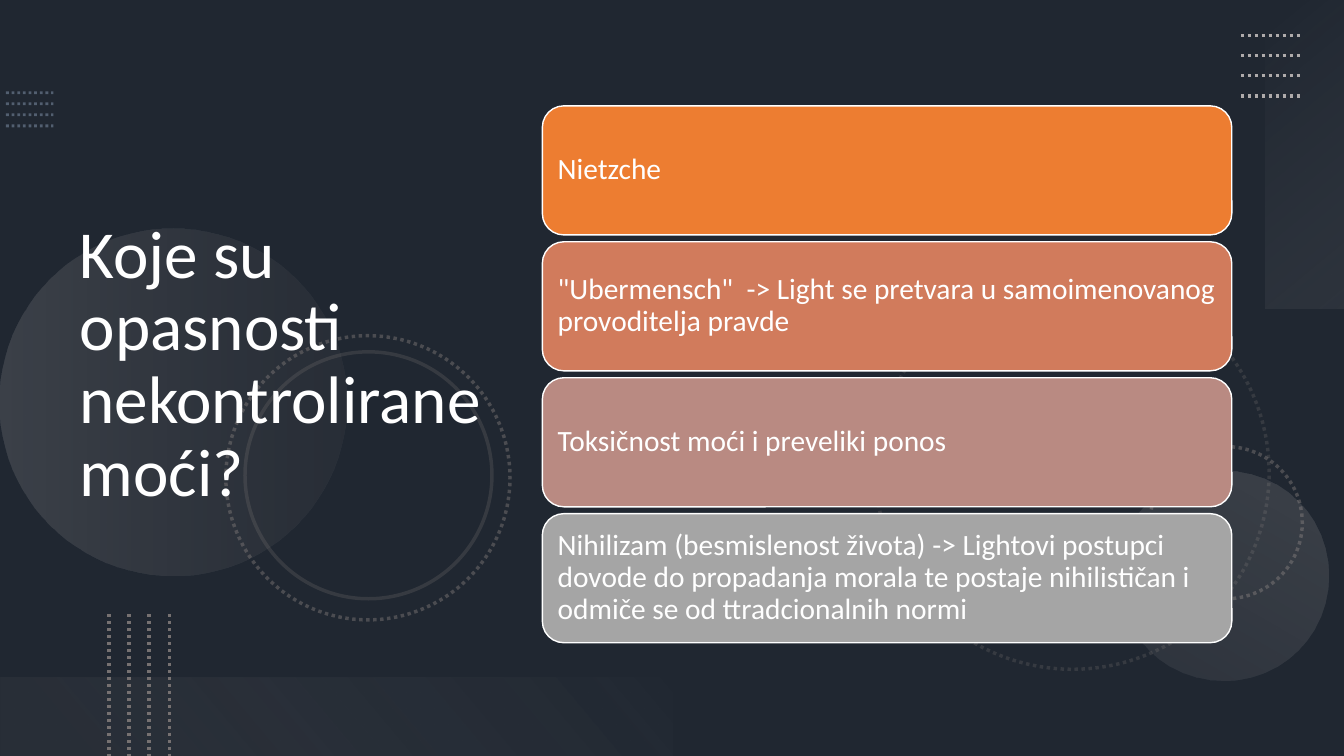
from lxml import etree
from pptx import Presentation
from pptx.dml.color import RGBColor
from pptx.enum import dml, shapes as sh, text as tx
from pptx.oxml.ns import qn
from pptx.util import Pt

SLATE = RGBColor(0x44, 0x54, 0x6A)
BLACK = RGBColor(0, 0, 0)
WHITE = RGBColor(0xFF, 0xFF, 0xFF)
BLUE = RGBColor(0x84, 0x97, 0xB0)
GREY = RGBColor(0x76, 0x71, 0x71)
SILVER = RGBColor(0xAF, 0xAB, 0xAB)
PALE = RGBColor(0xF5, 0xF5, 0xF5)
ORANGE = RGBColor(0xED, 0x7D, 0x31)
CORAL = RGBColor(0xD1, 0x7B, 0x5C)
ROSE = RGBColor(0xB9, 0x8A, 0x82)
ASH = RGBColor(0xA5, 0xA5, 0xA5)
DOTS = dml.MSO_LINE.ROUND_DOT
OVAL = sh.MSO_SHAPE.OVAL
RECT = sh.MSO_SHAPE.RECTANGLE


def fade(item, *levels):
    """Set the opacity, in percent, of each colour in turn."""
    props = item._element.spPr
    for color, level in zip(props.iter(qn("a:srgbClr")), levels):
        etree.SubElement(color, qn("a:alpha")).set("val", str(level * 1000))


def draw(kind, box, turn=0):
    """Add a shape without shadow, fill or line."""
    shape = slide.shapes.add_shape(kind, *[Pt(n) for n in box])
    shape.rotation = turn
    shape.shadow.inherit = False
    shape.fill.background()
    shape.line.fill.background()
    return shape


deck = Presentation()
deck.slide_width, deck.slide_height = Pt(960), Pt(540)
slide = deck.slides.add_slide(deck.slide_layouts[5])

# Background with dark veil
slide.background.fill.solid()
slide.background.fill.fore_color.rgb = SLATE
veil = draw(RECT, (0, 0, 960, 540))
veil.fill.solid()
veil.fill.fore_color.rgb = BLACK
fade(veil, 53)

# Rings: box, turn, dash, opacity
rings = [
    ((625.7, 197.3, 280.8, 280.8), 75, DOTS, 25),
    ((821.5, 319, 108.7, 108.7), 270, DOTS, 50),
    ((161.3, 239.8, 203, 203), 75, DOTS, 50),
    ((175, 251.3, 176.4, 176.4), 75, None, 25),
]
for box, turn, dash, level in rings:
    ring = draw(OVAL, box, turn)
    ring.line.color.rgb = GREY
    ring.line.width = Pt(2.5)
    ring.line.dash_style = dash
    fade(ring, level)

# Soft discs and bands: kind, box, turn, angle, stops (place, colour, opacity)
glows = [
    (OVAL, (0, 163.4, 247.7, 247.7), 270, 90,
     [(0, SILVER, 20), (1, GREY, 10)]),
    (OVAL, (799.2, 336.2, 149.8, 149.8), 210, 90,
     [(0, SILVER, 10), (1, SILVER, 20)]),
    (RECT, (822.2, 82.1, 220.3, 56.2), 270, 140,
     [(0, PALE, 0), (1, SILVER, 10)]),
    (RECT, (0, 483.8, 480.2, 56.2), 180, 140,
     [(0.1, GREY, 10), (1, PALE, 0)]),
]
for kind, box, turn, angle, stops in glows:
    glow = draw(kind, box, turn)
    glow.fill.gradient()
    glow.fill.gradient_angle = 360 - angle
    for stop, (place, color, level) in zip(glow.fill.gradient_stops, stops):
        stop.position = place
        stop.color.rgb = color
    fade(glow, *[level for place, color, level in stops])

# Dotted lines in fours: first line, step, colour, width, opacity
grids = [
    ((4.3, 66.2, 38.2, 66.2), (0, 7.9), BLUE, 2, 50),
    ((886.3, 25.2, 929.5, 25.2), (0, 14.4), SILVER, 2.5, 100),
    ((77.8, 438.5, 77.8, 540), (14.4, 0), GREY, 2.5, 100),
]
for ends, (dx, dy), color, width, level in grids:
    for i in range(4):
        spots = [Pt(n + i * d) for n, d in zip(ends, (dx, dy, dx, dy))]
        line = slide.shapes.add_connector(sh.MSO_CONNECTOR.STRAIGHT, *spots)
        line.line.color.rgb = color
        line.line.width = Pt(width)
        line.line.dash_style = DOTS
        fade(line, level)
        etree.SubElement(line._element.spPr, qn("a:effectLst"))

# Title, raised above the decoration
title = slide.shapes.title
slide.shapes._spTree.append(title._element)
title.left, title.top = Pt(49.7), Pt(38.9)
title.width, title.height = Pt(330.5), Pt(444.2)
frame = title.text_frame
frame.text = "Koje su opasnosti nekontrolirane moći?"
frame.word_wrap = True
frame.auto_size = tx.MSO_AUTO_SIZE.NONE

# Cards
cards = [
    ("Nietzche", ORANGE),
    ('"Ubermensch"\u00a0 -> Light se pretvara u samoimenovanog '
     "provoditelja pravde", CORAL),
    ("Toksičnost moći i preveliki ponos", ROSE),
    ("Nihilizam (besmislenost života) -> Lightovi postupci dovode do "
     "propadanja morala te postaje nihilističan i odmiče se od "
     "ttradcionalnih normi", ASH),
]
frames = [(frame, 48)]
for i, (words, color) in enumerate(cards):
    card = draw(sh.MSO_SHAPE.ROUNDED_RECTANGLE,
                (387.4, 75.6 + 97.1 * i, 492.5, 92.2))
    card.fill.solid()
    card.fill.fore_color.rgb = color
    card.line.color.rgb = WHITE
    card.line.width = Pt(1)
    frame = card.text_frame
    frame.text = words
    frame.word_wrap = True
    # The rounded corners add about 4.5 points to each inset
    frame.margin_left = frame.margin_right = Pt(6.5)
    frame.margin_top = frame.margin_bottom = Pt(6.5)
    frames.append((frame, 21))

# Shared text style
for frame, size in frames:
    frame.vertical_anchor = tx.MSO_ANCHOR.MIDDLE
    para = frame.paragraphs[0]
    para.alignment = tx.PP_ALIGN.LEFT
    para.line_spacing = 0.9
    font = para.runs[0].font
    font.name = "Calibri"
    font.size = Pt(size)
    font.color.rgb = WHITE

deck.save("out.pptx")
